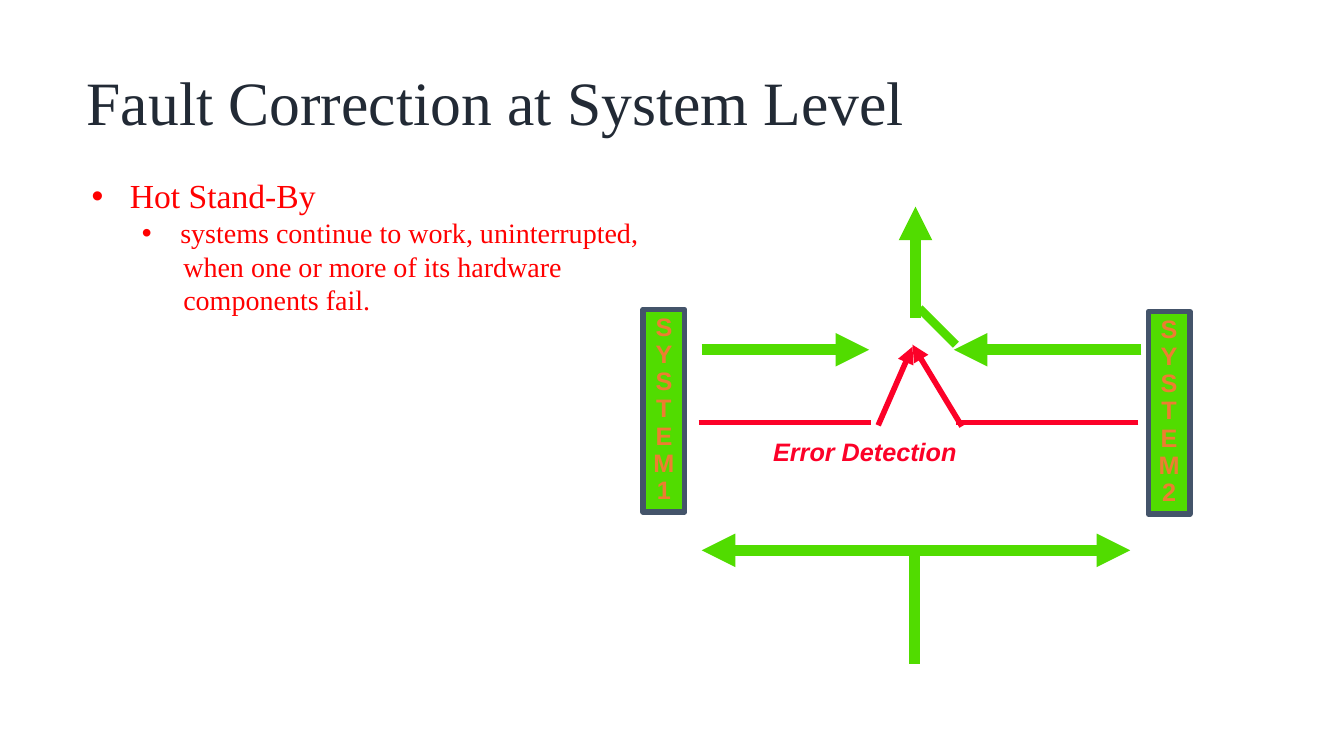
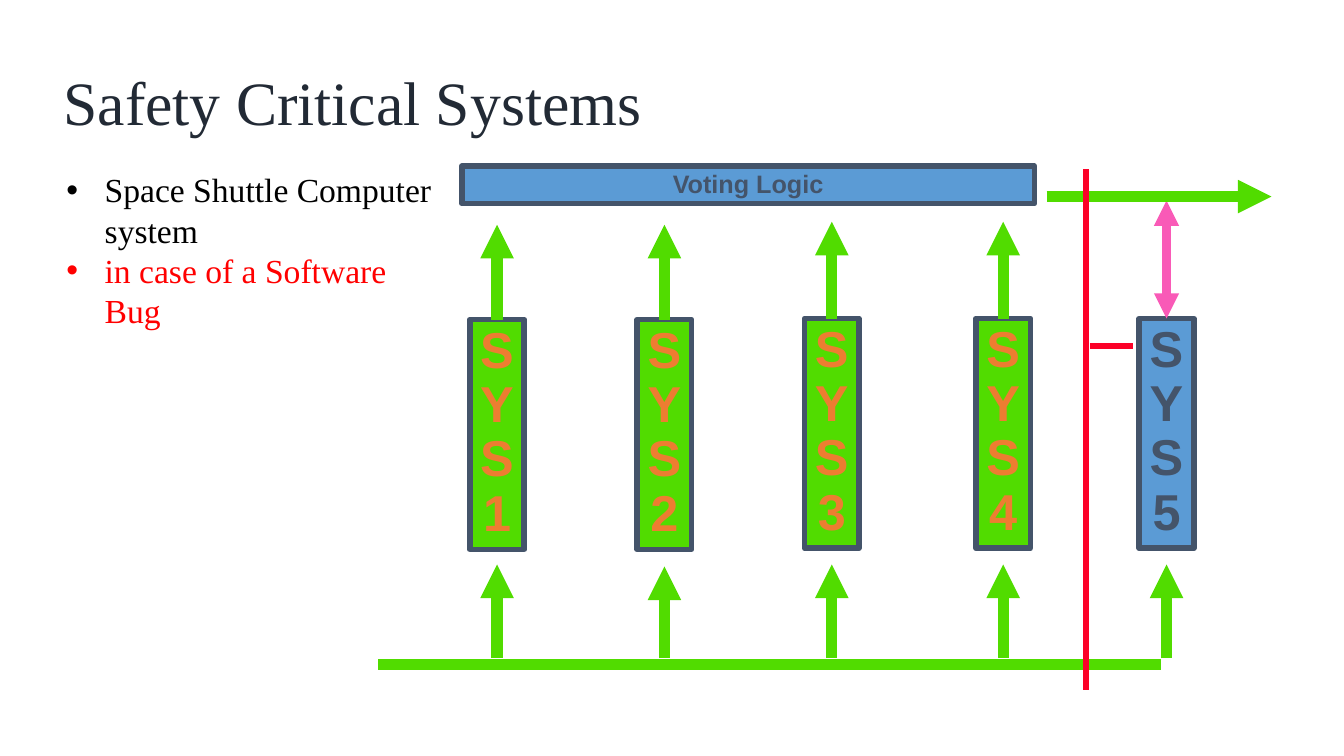
from dataclasses import dataclass
from typing import Optional

from lxml.etree import SubElement
from pptx import Presentation
from pptx.dml.color import RGBColor
from pptx.enum.shapes import MSO_CONNECTOR, MSO_SHAPE
from pptx.enum.text import MSO_ANCHOR, MSO_AUTO_SIZE, PP_ALIGN
from pptx.oxml.ns import qn
from pptx.util import Emu, Pt

PX = 9144


@dataclass(frozen=True)
class Theme:
    serif: str = "Times New Roman"
    sans: str = "Arial"
    ink: str = "222A35"
    black: str = "000000"
    red: str = "FF0000"
    alarm: str = "FC0128"
    green: str = "51DC00"
    blue: str = "5B9BD5"
    slate: str = "44546A"
    orange: str = "ED7D31"
    pink: str = "F95AB7"
    title: int = 44
    huge: int = 36
    body: int = 24
    sub: int = 20
    label: int = 18
    thin: int = 4
    medium: int = 6
    thick: int = 8
    tight: float = 0.9


T = Theme()


@dataclass(frozen=True)
class Box:
    x: int
    y: int
    w: int
    h: int


@dataclass(frozen=True)
class Line:
    x1: int
    y1: int
    x2: int
    y2: int
    color: str = T.green
    width: int = T.thick
    head: bool = False
    tail: bool = False


@dataclass(frozen=True)
class Item:
    text: str
    color: str = T.red
    size: int = T.body
    level: int = 0
    margin: int = 38
    hang: int = 38


@dataclass(frozen=True)
class Lane:
    center: int
    top: int
    tip: int
    feed_tip: int = 560
    active: bool = True


def px(n: int) -> Emu:
    return Emu(n * PX)


def rgb(color: str) -> RGBColor:
    return RGBColor.from_string(color)


def font_format(name: str, size: int, bold: bool = False, italic: bool = False) -> dict:
    return {"name": name, "size": Pt(size), "bold": bold, "italic": italic}


def apply(target, values: dict) -> None:
    for key, value in values.items():
        setattr(target, key, value)


def write(p, text: str, color: str, fmt: dict):
    r = p.add_run()
    r.text = text
    apply(r.font, fmt)
    r.font.color.rgb = rgb(color)


def place(sp, box: Box) -> None:
    apply(sp, {"left": px(box.x), "top": px(box.y), "width": px(box.w), "height": px(box.h)})


def add_title_slide(prs, text: str, box: Box):
    s = prs.slides.add_slide(prs.slide_layouts[5])
    sp = s.shapes.title
    place(sp, box)
    tf = sp.text_frame
    apply(tf, {"margin_left": px(5), "margin_right": px(5), "margin_top": px(2),
               "margin_bottom": px(2), "word_wrap": True,
               "vertical_anchor": MSO_ANCHOR.MIDDLE, "auto_size": MSO_AUTO_SIZE.NONE})
    p = tf.paragraphs[0]
    apply(p, {"alignment": PP_ALIGN.LEFT, "line_spacing": T.tight})
    write(p, text, T.ink, font_format(T.serif, T.title))
    return s


def add_body(s, box: Box, items: list[Item]) -> None:
    tf = s.shapes.add_textbox(px(box.x), px(box.y), px(box.w), px(box.h)).text_frame
    apply(tf, {"word_wrap": True, "auto_size": MSO_AUTO_SIZE.SHAPE_TO_FIT_TEXT})
    for i, item in enumerate(items):
        p = tf.add_paragraph() if i else tf.paragraphs[0]
        p.level = item.level
        pr = p._p.get_or_add_pPr()
        pr.set("marL", str(px(item.margin)))
        pr.set("indent", str(-px(item.hang)))
        if item.hang:
            SubElement(pr, qn("a:buFont")).set("typeface", T.sans)
            SubElement(pr, qn("a:buChar")).set("char", "•")
        write(p, item.text, item.color, font_format(T.serif, item.size))


def add_block(s, box: Box, lines: list[str], fill: str, color: str, size: int, wrap: bool = False):
    sp = s.shapes.add_shape(MSO_SHAPE.RECTANGLE, px(box.x), px(box.y), px(box.w), px(box.h))
    sp.shadow.inherit = False
    sp.fill.solid()
    sp.fill.fore_color.rgb = rgb(fill)
    sp.line.color.rgb = rgb(T.slate)
    sp.line.width = Pt(T.thin)
    tf = sp.text_frame
    apply(tf, {"word_wrap": wrap, "vertical_anchor": MSO_ANCHOR.TOP,
               "auto_size": MSO_AUTO_SIZE.SHAPE_TO_FIT_TEXT})
    for i, text in enumerate(lines):
        p = tf.add_paragraph() if i else tf.paragraphs[0]
        apply(p, {"alignment": PP_ALIGN.CENTER, "line_spacing": T.tight})
        write(p, text, color, font_format(T.sans, size, bold=True))
    return sp


def add_line(s, line: Line, start: Optional[object] = None) -> None:
    cx = s.shapes.add_connector(MSO_CONNECTOR.STRAIGHT, px(line.x1), px(line.y1),
                                px(line.x2), px(line.y2))
    if start is not None:
        cx.begin_connect(start, 0)
    cx.line.color.rgb = rgb(line.color)
    cx.line.width = Pt(line.width)
    ln = cx.line._get_or_add_ln()
    for tag, shown in (("a:headEnd", line.head), ("a:tailEnd", line.tail)):
        if shown:
            SubElement(ln, qn(tag)).set("type", "triangle")
    SubElement(cx._element.spPr, qn("a:effectLst"))


def build_hot_standby(prs) -> None:
    s = add_title_slide(prs, "Fault Correction at System Level", Box(81, 69, 921, 71))
    for number, x, y in (("1", 638, 307), ("2", 1139, 309)):
        add_block(s, Box(x, y, 41, 201), [*"SYSTEM", number], T.green, T.orange, T.label)
    for line in (
        Line(696, 347, 862, 347, tail=True),
        Line(1132, 347, 946, 347, tail=True),
        Line(908, 315, 908, 205, tail=True),
        Line(907, 551, 907, 659),
        Line(696, 546, 1121, 546, head=True, tail=True),
        Line(693, 419, 864, 419, T.alarm, T.thin),
        Line(1129, 419, 948, 419, T.alarm, T.thin),
        Line(871, 422, 905, 344, T.alarm, T.thin, tail=True),
        Line(954, 423, 905, 342, T.alarm, T.thin, tail=True),
        Line(912, 306, 948, 342, width=T.medium),
    ):
        add_line(s, line)
    tf = s.shapes.add_textbox(px(757), px(431), px(204), px(37)).text_frame
    apply(tf, {"word_wrap": False, "auto_size": MSO_AUTO_SIZE.SHAPE_TO_FIT_TEXT})
    p = tf.paragraphs[0]
    p.line_spacing = T.tight
    write(p, "Error Detection", T.alarm, font_format(T.sans, T.label, bold=True, italic=True))
    add_body(s, Box(81, 169, 587, 151), [
        Item("Hot Stand-By"),
        Item("systems continue to work, uninterrupted,", size=T.sub, level=1, margin=88),
        Item("when one or more of its hardware", size=T.sub, level=1, margin=91, hang=0),
        Item("components fail.", size=T.sub, level=1, margin=91, hang=0),
    ])


def build_safety_critical(prs) -> None:
    s = add_title_slide(prs, "Safety Critical Systems", Box(58, 69, 752, 71))
    add_line(s, Line(375, 659, 1152, 659))
    add_block(s, Box(458, 165, 568, 37), ["Voting Logic"], T.blue, T.slate, T.label, wrap=True)
    lanes = [
        Lane(493, 317, 223),
        Lane(659, 317, 223, feed_tip=562),
        Lane(825, 316, 220),
        Lane(995, 316, 220),
        Lane(1157, 316, 199, active=False),
    ]
    for number, lane in enumerate(lanes, 1):
        x = lane.center
        fill, color = (T.green, T.orange) if lane.active else (T.blue, T.slate)
        sp = add_block(s, Box(x - 27, lane.top, 54, 228), [*"SYS", str(number)],
                       fill, color, T.huge)
        add_line(s, Line(x, 653, x, lane.feed_tip, tail=True))
        if lane.active:
            vote = Line(x, lane.top, x, lane.tip, tail=True)
        else:
            vote = Line(x, lane.top, x, lane.tip, T.pink, T.medium, head=True, tail=True)
        add_line(s, vote, sp)
    for line in (
        Line(1038, 195, 1261, 195, tail=True),
        Line(1077, 168, 1077, 685, T.alarm, T.thin),
        Line(1081, 343, 1124, 343, T.alarm, T.thin),
    ):
        add_line(s, line)
    add_body(s, Box(56, 163, 389, 212), [
        Item("Space Shuttle Computer system", T.black),
        Item("in case of a Software Bug"),
    ])


def main() -> None:
    prs = Presentation()
    prs.slide_width = px(1333)
    prs.slide_height = px(750)
    build_hot_standby(prs)
    build_safety_critical(prs)
    prs.save("out.pptx")


if __name__ == "__main__":
    main()
